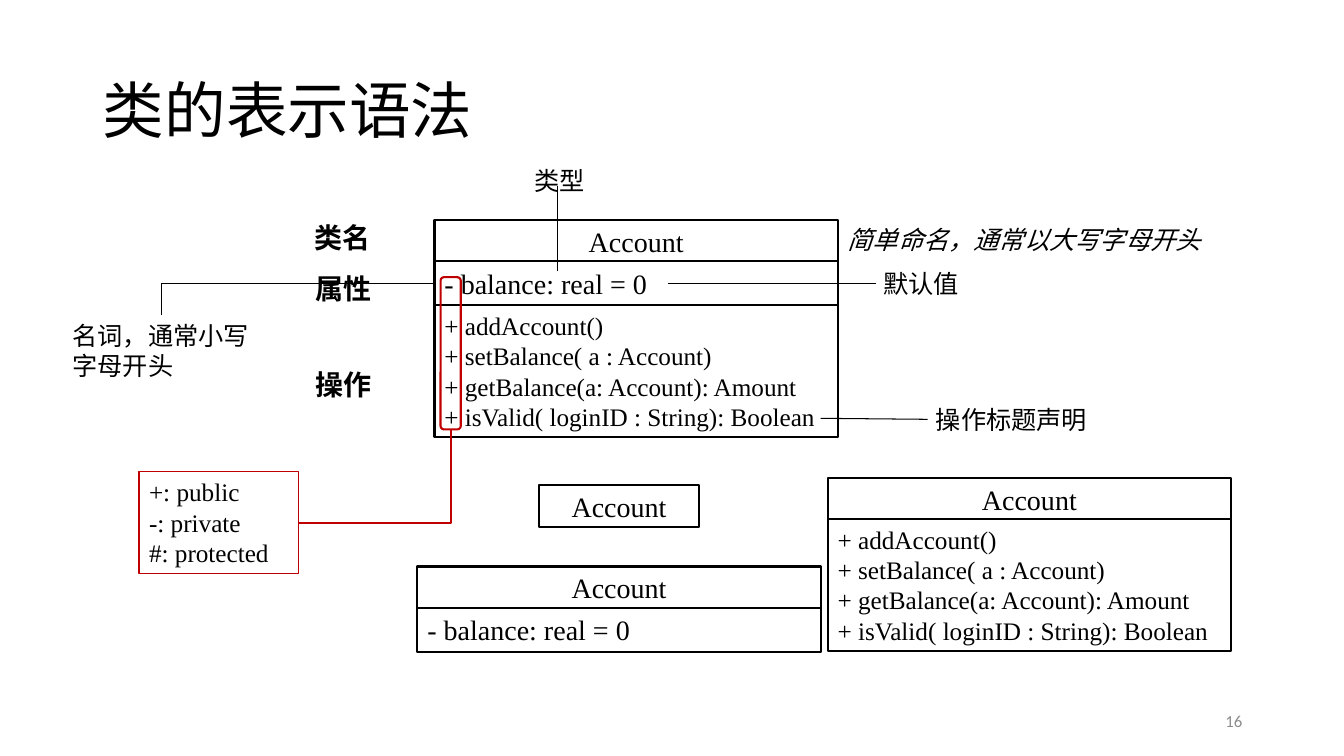
from lxml import etree
from pptx import Presentation, util as u
from pptx.dml.color import RGBColor
from pptx.enum import shapes, text as t
from pptx.oxml.ns import qn

PX = 9144  # 100 px to the inch
SERIF, SANS = "Times New Roman", "Calibri"
BLACK, WHITE, RED, GREY = "000000", "FFFFFF", "C00000", "8C8C8C"
RECTANGLE = shapes.MSO_SHAPE.RECTANGLE
ROUNDED = shapes.MSO_SHAPE.ROUNDED_RECTANGLE
LEFT, CENTER, RIGHT = t.PP_ALIGN.LEFT, t.PP_ALIGN.CENTER, t.PP_ALIGN.RIGHT
TOP, MIDDLE, BOTTOM = t.MSO_ANCHOR.TOP, t.MSO_ANCHOR.MIDDLE, t.MSO_ANCHOR.BOTTOM

OPERATIONS = "\n".join([
    "+ addAccount()",
    "+ setBalance( a : Account)",
    "+ getBalance(a: Account): Amount",
    "+ isValid( loginID : String): Boolean",
])
BALANCE = "- balance: real = 0"
NAME_HEIGHT, ATTRIBUTE_HEIGHT, OPERATIONS_HEIGHT = 42, 44, 131


def px(*lengths):
    return [u.Emu(length * PX) for length in lengths]


def color(hex_string):
    return RGBColor.from_string(hex_string)


def write(shape, words, size=18, font=SERIF, ink=BLACK, bold=False, italic=False,
          align=LEFT, anchor=TOP, wrap=True, spacing=None):
    frame = shape.text_frame
    frame.text = words
    frame.word_wrap = wrap
    frame.vertical_anchor = anchor
    if not wrap:
        frame.auto_size = t.MSO_AUTO_SIZE.SHAPE_TO_FIT_TEXT
    for paragraph in frame.paragraphs:
        paragraph.alignment = align
        paragraph.line_spacing = spacing
        for run in paragraph.runs:
            run.font.size = u.Pt(size)
            run.font.name = font
            run.font.bold = bold
            run.font.italic = italic
            run.font.color.rgb = color(ink)


def add_label(slide, box, words, **style):
    label = slide.shapes.add_textbox(*px(*box))
    write(label, words, **style)
    return label


def add_box(slide, box, words="", kind=RECTANGLE, fill=None, line=BLACK, weight=1.5, **style):
    shape = slide.shapes.add_shape(kind, *px(*box))
    shape.shadow.inherit = False
    if fill:
        shape.fill.solid()
        shape.fill.fore_color.rgb = color(fill)
    else:
        shape.fill.background()
    if line:
        shape.line.color.rgb = color(line)
        shape.line.width = u.Pt(weight)
    else:
        shape.line.fill.background()
    if words:
        write(shape, words, **style)
    return shape


def add_line(slide, start, end, ink=BLACK, weight=0.75, kind=shapes.MSO_CONNECTOR.STRAIGHT):
    line = slide.shapes.add_connector(kind, *px(*start, *end))
    line.line.color.rgb = color(ink)
    line.line.width = u.Pt(weight)
    etree.SubElement(line._element.spPr, qn("a:effectLst"))
    return line


def add_corner(slide, start, end, first, first_side, last, last_side, **style):
    """Join two shapes with one bend: across first, then up or down."""
    corner = add_line(slide, start, end, kind=shapes.MSO_CONNECTOR.ELBOW, **style)
    corner._element.spPr.find(qn("a:prstGeom")).set("prst", "bentConnector2")
    corner.begin_connect(first, first_side)
    corner.end_connect(last, last_side)


def add_class(slide, left, top, width=400, attributes="", operations=""):
    """Stack the compartments of a class and return them from top to bottom."""
    compartments = [add_box(slide, (left, top, width, NAME_HEIGHT), "Account", fill=WHITE,
                            size=20, align=CENTER, anchor=MIDDLE)]
    top += NAME_HEIGHT - 1
    for words, height, size in ((attributes, ATTRIBUTE_HEIGHT, 20),
                                (operations, OPERATIONS_HEIGHT, 18)):
        if words:
            compartments.append(add_box(slide, (left, top, width, height), words,
                                        fill=WHITE, size=size))
            top += height
    return compartments


def add_title(slide, box, words):
    title = slide.shapes.title
    title.left, title.top, title.width, title.height = px(*box)
    write(title, words, size=44, font=SANS, anchor=MIDDLE, spacing=0.9)


def add_annotated_class(slide, left, top):
    """Draw the full class with its part names, notes and visibility key."""
    def at(x, y, *size):
        return (left + x, top + y, *size)

    attribute = add_class(slide, left, top, attributes=BALANCE, operations=OPERATIONS)[1]

    add_label(slide, at(-129, -4, 77, 44), "类名", size=20, font=SANS, bold=True, wrap=False)
    add_box(slide, at(-228, 50, 275, 42), "属性", kind=ROUNDED, line=None, size=20,
            font="Arial", bold=True, align=CENTER, anchor=BOTTOM)
    add_label(slide, at(-164, 142, 147, 43), "操作", size=20, font="Arial", bold=True,
              align=CENTER)

    add_label(slide, at(400, 0, 374, 40), "简单命名，通常以大写字母开头", italic=True, wrap=False)
    for box, words in ((at(88, -59, 71, 40), "类型"),
                       (at(434, 43, 96, 40), "默认值"),
                       (at(485, 178, 172, 40), "操作标题声明")):
        add_label(slide, box, words, align=RIGHT, wrap=False)
    for start, end in ((at(122, 51), at(122, -33)),
                       (at(232, 63), at(438, 63)),
                       (at(383, 197), at(489, 198))):
        add_line(slide, start, end)

    noun = add_label(slide, at(-369, 95, 197, 71), "名词，通常小写字母开头")
    add_corner(slide, at(0, 63), at(-271, 95), attribute, 1, noun, 0, weight=0.5)

    key = add_box(slide, at(-293, 250, 158, 101), "+: public\n-: private\n#: protected",
                  line=RED, weight=1)
    marks = add_box(slide, at(6, 57, 20, 151), kind=ROUNDED, line=RED)
    add_corner(slide, at(-135, 300), at(16, 208), key, 3, marks, 2, ink=RED, weight=1.5)


def main():
    presentation = Presentation()
    presentation.slide_width, presentation.slide_height = px(1333, 750)
    slide = presentation.slides.add_slide(presentation.slide_layouts[5])
    slide.background.fill.solid()
    slide.background.fill.fore_color.rgb = color(WHITE)

    add_title(slide, (92, 40, 1150, 145), "类的表示语法")
    add_annotated_class(slide, 431, 218)
    add_class(slide, 535, 481, width=158)
    add_class(slide, 414, 562, attributes=BALANCE)
    add_class(slide, 821, 474, operations=OPERATIONS)
    add_label(slide, (942, 695, 300, 40), "16", size=12, font=SANS, ink=GREY,
              align=RIGHT, anchor=MIDDLE)
    presentation.save("out.pptx")


if __name__ == "__main__":
    main()
